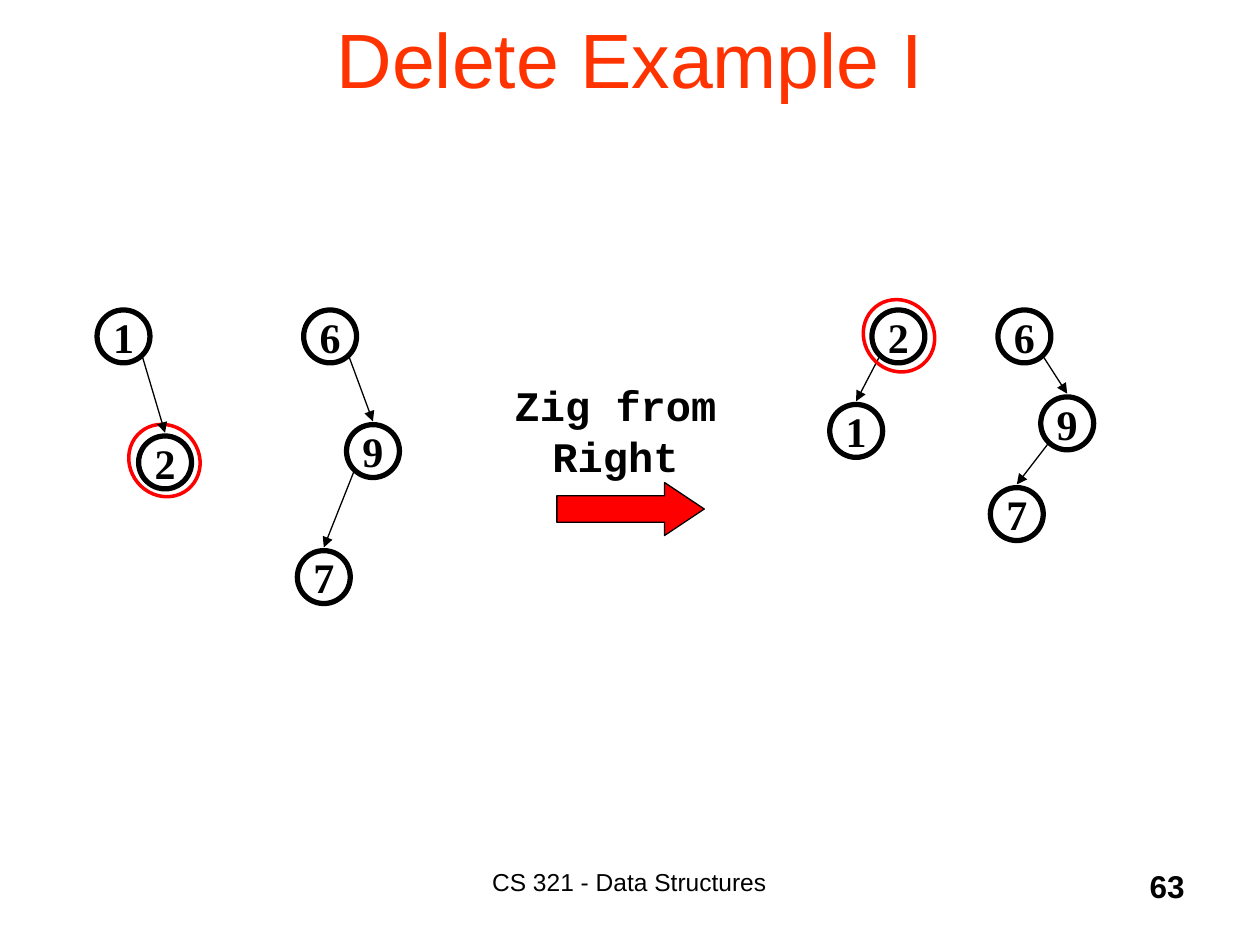
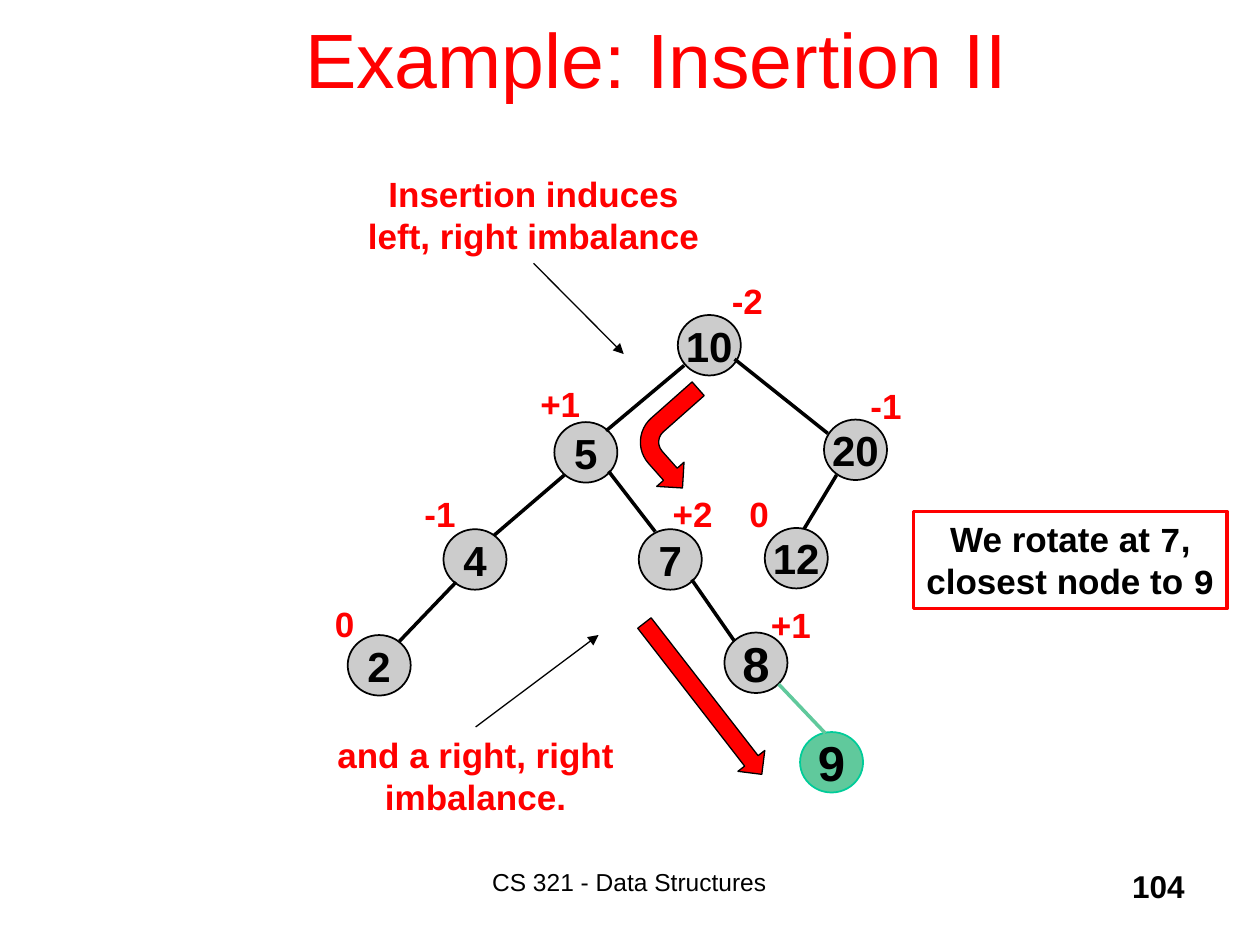
from lxml import etree
from pptx import Presentation
from pptx import util as u
from pptx.dml.color import RGBColor
from pptx.enum import shapes, text
from pptx.oxml.ns import qn

# Shared look
WIDTH, HEIGHT = u.Inches(10), u.Inches(7.5)
COLS = 100                      # square grid: 100 columns, 75 rows
CELL = WIDTH / COLS
BLACK, RED, CORAL = "000000", "FF0000", "FF3300"
GREY, GREEN, TEAL = "CCCCCC", "60C99C", "00CC99"
SANS, MONO, SERIF = "Arial", "Courier New", "Times New Roman"
FOOTER = "CS 321 - Data Structures"
SHAPE, ALIGN, ANCHOR = shapes.MSO_SHAPE, text.PP_ALIGN, text.MSO_ANCHOR
LEFT, MID, RIGHT = ALIGN.LEFT, ALIGN.CENTER, ALIGN.RIGHT


def grid(*cells):
    return [u.Emu(round(c * CELL)) for c in cells]


def rgb(tone):
    return RGBColor.from_string(tone)


def style(font, size, tone, bold, face):
    font.size, font.bold, font.name = u.Pt(size), bold, face
    font.color.rgb = rgb(tone)


def write(shape, words, size, tone=BLACK, bold=True, face=SANS,
          align=MID, anchor=ANCHOR.TOP, wrap=True, lead=None):
    """Fill a shape; words is a string or a list of (string, face) runs."""
    frame = shape.text_frame
    frame.word_wrap, frame.vertical_anchor = wrap, anchor
    para = frame.paragraphs[0]
    para.alignment = align
    if lead:
        para.line_spacing = u.Pt(lead)
    style(para.font, size, tone, bold, face)
    for part, kind in [(words, face)] if isinstance(words, str) else words:
        run = para.add_run()
        run.text = part
        if kind != face:
            run.font.name = kind


def label(slide, box, words, size, **look):
    shape = slide.shapes.add_textbox(*grid(*box))
    write(shape, words, size, **look)
    return shape


def form(slide, kind, box, fill=None, line=BLACK, weight=0.75, turn=0):
    shape = slide.shapes.add_shape(kind, *grid(*box))
    shape.shadow.inherit = False
    if fill:
        shape.fill.solid()
        shape.fill.fore_color.rgb = rgb(fill)
    else:
        shape.fill.background()
    shape.line.color.rgb = rgb(line)
    shape.line.width = u.Pt(weight)
    shape.rotation = turn
    return shape


def node(slide, spot, size, words, points, face=SANS, **look):
    """Circle centred on spot with its key inside."""
    (x, y), (w, h) = spot, size
    shape = form(slide, SHAPE.OVAL, (x - w / 2, y - h / 2, w, h), **look)
    frame = shape.text_frame
    frame.margin_left = frame.margin_right = 0
    frame.margin_top = frame.margin_bottom = 0
    write(shape, words, points, face=face, anchor=ANCHOR.MIDDLE, wrap=False)


def link(slide, start, end, tone=BLACK, weight=0.75, arrow=True):
    line = slide.shapes.add_connector(
        shapes.MSO_CONNECTOR.STRAIGHT, *grid(*start, *end))
    line.line.color.rgb = rgb(tone)
    line.line.width = u.Pt(weight)
    if arrow:
        edge = line.line._get_or_add_ln()
        etree.SubElement(edge, qn("a:tailEnd"), type="triangle")
    etree.SubElement(line._element.spPr, qn("a:effectLst"))
    return line


def page(deck, title, number, tone, width):
    slide = deck.slides.add_slide(deck.slide_layouts[6])
    label(slide, (7.5, 0, width, 9.1), title, 44, tone=tone, bold=False,
          anchor=ANCHOR.MIDDLE)
    label(slide, (30.8, 68.3, 38.3, 5), FOOTER, 14, bold=False)
    label(slide, (74.2, 68.3, 20.8, 5), number, 18, align=RIGHT)
    return slide


def splay(slide, spots, edges):
    """Tree of open circles; arrows leave at a corner and end on top."""
    for key, spot in spots.items():
        node(slide, spot, (4.2, 4.2), key, 24, face=SERIF, weight=3)
    for up, down in edges:
        (x1, y1), (x2, y2) = spots[up], spots[down]
        side = 1.5 if x2 > x1 else -1.5
        link(slide, (x1 + side, y1 + 1.6), (x2, y2 - 2.35))


def ring(slide, spot):
    x, y = spot
    form(slide, SHAPE.OVAL, (x - 2.75, y - 2.95, 5.5, 5.9),
         line=RED, weight=2, turn=320.5)


def delete(deck):
    slide = page(deck, "Delete Example I", "63", CORAL, 85)

    # Step in the middle
    label(slide, (37.5, 29.6, 22.7, 9.1), "Zig from Right", 24,
          face=MONO, lead=29)
    arrow = form(slide, SHAPE.RIGHT_ARROW, (44.2, 38.3, 11.7, 4.2), fill=RED)
    arrow.adjustments[1] = 0.75

    # Trees before and after
    ring(slide, (13.05, 36.55))
    splay(slide, {"1": (9.8, 26.7), "2": (13.1, 36.7), "6": (26.2, 26.7),
                  "9": (29.6, 35.8), "7": (25.7, 45.8)},
          ["12", "69", "97"])
    splay(slide, {"2": (71.3, 26.7), "1": (67.95, 34.2), "6": (81.3, 26.7),
                  "9": (84.7, 33.6), "7": (80.7, 40.8)},
          ["21", "69", "97"])
    ring(slide, (71.35, 26.65))


def insert(deck):
    slide = page(deck, "Example: Insertion II", "104", RED, 89.2)

    # Tree: centre of each key, then its balance with the label's corner
    tree = {
        "10": ((56.3, 27.4), "-2", (57.1, 21.7)),
        "20": ((67.9, 35.7), "-1", (68.1, 30)),
        "5": ((46.5, 35.9), "+1", (41.9, 29.9)),
        "12": ((63.2, 44.3), "0", (58.5, 38.6)),
        "4": ((37.7, 44.4), "-1", (32.7, 38.6)),
        "7": ((53.2, 44.4), "+2", (52.4, 38.6)),
        "8": ((60, 52.6), "+1", (60.2, 47.4)),
        "2": ((30.1, 52.8), "0", (25.6, 47.3)),
        "9": ((66, 60.5), None, None),
    }
    for key, (spot, weight, corner) in tree.items():
        new = key == "9"
        node(slide, spot, (5, 4.8), key, 28 if key in "89" else 24, weight=1,
             fill=GREEN if new else GREY, line=TEAL if new else BLACK)
        if weight:
            label(slide, (*corner, 6, 4.4), weight, 20, tone=RED, align=LEFT)

    # Edges: offsets from the centres at the upper and the lower end
    edges = [
        ("10", "5", (-2, 1.6), (1.6, -1.7)),
        ("5", "4", (-1.7, 1.8), (1.5, -1.9)),
        ("4", "2", (-1.5, 1.8), (1.6, -1.9)),
        ("20", "12", (-1.5, 2), (0.6, -2.3)),
        ("10", "20", (2, 1.1), (-2.2, -1.3)),
        ("7", "8", (1.7, 1.6), (-1.7, -1.7)),
        ("5", "7", (1.8, 1.5), (-1.2, -2.2)),
        ("8", "9", (1.8, 1.7), (-0.5, -2.3)),
    ]
    for up, down, *shifts in edges:
        ends = [(tree[key][0][0] + dx, tree[key][0][1] + dy)
                for key, (dx, dy) in zip((up, down), shifts)]
        link(slide, *ends, tone=GREEN if down == "9" else BLACK,
             weight=2, arrow=False)

    # Notes with pointers from the middle of a side
    notes = [
        ("Insertion induces left, right imbalance",
         (27.6, 13.2, 29.5, 7.7), 2, (49.5, 28.1)),
        ("and a right, right imbalance.",
         (24.9, 57.7, 25.7, 7.7), 0, (47.5, 50.4)),
    ]
    for words, box, side, tip in notes:
        note = label(slide, box, words, 20, tone=RED, lead=24)
        link(slide, box[:2], tip).begin_connect(note, side)

    # Framed remark
    frame = form(slide, SHAPE.RECTANGLE, (72.5, 40.6, 24.9, 7.7),
                 line=RED, weight=2)
    write(frame, [("We rotate at ", SANS), ("7", MONO),
                  (", closest node to ", SANS), ("9", MONO)], 20, lead=24)

    # Block arrows along the two imbalances
    bend = form(slide, SHAPE.BENT_ARROW, (51.1, 31.2, 5.8, 7.6),
                fill=RED, turn=228.5)
    bend._element.spPr.find(qn("a:xfrm")).set("flipH", "1")
    form(slide, SHAPE.RIGHT_ARROW, (48.2, 54.1, 15.2, 2.7),
         fill=RED, turn=52.2)


def main():
    deck = Presentation()
    deck.slide_width, deck.slide_height = WIDTH, HEIGHT
    delete(deck)
    insert(deck)
    deck.save("out.pptx")


if __name__ == "__main__":
    main()
